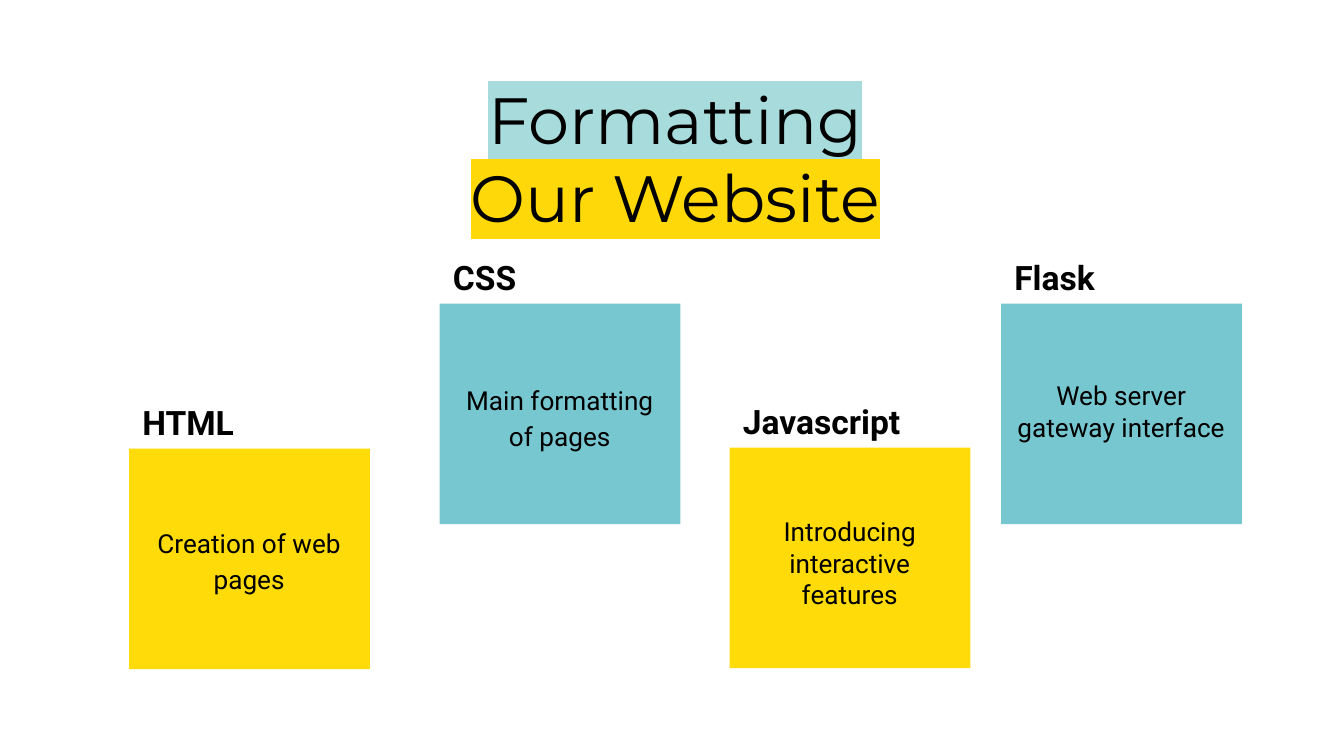
from lxml import etree
from pptx import Presentation
from pptx.dml.color import RGBColor
from pptx.enum.shapes import MSO_SHAPE
from pptx.enum.text import MSO_ANCHOR, PP_ALIGN
from pptx.oxml.ns import qn
from pptx.util import Cm, Pt

RECTANGLE = MSO_SHAPE.RECTANGLE
TOP, MIDDLE = MSO_ANCHOR.TOP, MSO_ANCHOR.MIDDLE
LEFT, CENTER = PP_ALIGN.LEFT, PP_ALIGN.CENTER

COLORS = {
    "white": "FFFFFF",
    "black": "000000",
    "yellow": "FFDC09",
    "teal": "77C7D1",
    "title_teal": "A8DCDC",
    "title_yellow": "FFD809",
}
CARD_WIDTH, CARD_HEIGHT = 4.55, 4.17
BODY_WIDTH, BODY_HEIGHT = 4.5, 1.65
LABEL_HEIGHT, LABEL_RISE = 1.09, 1.14
INSET = 0.25


class SlideBuilder:
    """Draws highlighted titles, labelled cards and their text on one slide."""

    def __init__(self, slide):
        self.slide = slide

    def rectangle(self, left, top, width, height, color):
        rectangle = self.slide.shapes.add_shape(
            RECTANGLE, Cm(left), Cm(top), Cm(width), Cm(height))
        rectangle.shadow.inherit = False
        rectangle.fill.solid()
        rectangle.fill.fore_color.rgb = RGBColor.from_string(COLORS[color])
        rectangle.line.fill.background()
        return rectangle

    def frame(self, holder, anchor=TOP):
        frame = holder.text_frame
        frame.word_wrap = True
        frame.vertical_anchor = anchor
        frame.margin_left = frame.margin_right = Cm(INSET)
        frame.margin_top = frame.margin_bottom = Cm(INSET)
        return frame

    def text_box(self, left, top, width, height, anchor=TOP):
        box = self.slide.shapes.add_textbox(
            Cm(left), Cm(top), Cm(width), Cm(height))
        return self.frame(box, anchor)

    def add_text(self, paragraph, text, font, size, align, bold=False):
        paragraph.alignment = align
        paragraph.font.name = font
        paragraph.font.size = Pt(size)
        paragraph.font.bold = bold
        paragraph.font.color.rgb = RGBColor.from_string(COLORS["black"])
        run = paragraph.add_run()
        run.text = text
        return run

    def highlight(self, run, color):
        properties = run._r.get_or_add_rPr()
        marker = etree.SubElement(properties, qn("a:highlight"))
        etree.SubElement(marker, qn("a:srgbClr"), val=COLORS[color])

    def title(self, left, top, width, height, lines):
        frame = self.text_box(left, top, width, height, MIDDLE)
        for index, (text, color) in enumerate(lines):
            paragraph = frame.add_paragraph() if index else frame.paragraphs[0]
            run = self.add_text(paragraph, text, "Montserrat", 35, CENTER)
            self.highlight(run, color)

    def label(self, left, top, width, text):
        plate = self.rectangle(left, top, width, LABEL_HEIGHT, "white")
        paragraph = self.frame(plate).paragraphs[0]
        self.add_text(paragraph, text, "Roboto", 18, LEFT, True)

    def body(self, left, top, text, spacing):
        frame = self.text_box(left, top, BODY_WIDTH, BODY_HEIGHT)
        paragraph = frame.paragraphs[0]
        paragraph.line_spacing = spacing
        self.add_text(paragraph, text, "Roboto", 14, CENTER)

    def card(self, left, top, color, name, name_width, text, text_drop, spacing):
        self.rectangle(left, top, CARD_WIDTH, CARD_HEIGHT, color)
        self.label(left, top - LABEL_RISE, name_width, name)
        self.body(left + 0.02, top + text_drop, text, spacing)


def main():
    deck = Presentation()
    deck.slide_width, deck.slide_height = Cm(25.4), Cm(14.29)
    builder = SlideBuilder(deck.slides.add_slide(deck.slide_layouts[6]))

    builder.title(2.01, 1.8, 21.51, 2.34, [
        ("Formatting", "title_teal"),
        ("Our Website", "title_yellow"),
    ])
    technologies = [
        (2.44, 8.48, "yellow", "HTML", 2.36, "Creation of web pages", 1.15, 1.15),
        (8.31, 5.74, "teal", "CSS", 2.01, "Main formatting of pages", 1.19, 1.15),
        (13.79, 8.46, "yellow", "Javascript", 3.51,
         "Introducing interactive features", 1.04, 1.0),
        (18.92, 5.74, "teal", "Flask", 2.36,
         "Web server gateway interface", 1.19, 1.0),
    ]
    for technology in technologies:
        builder.card(*technology)
    deck.save("out.pptx")


if __name__ == "__main__":
    main()
